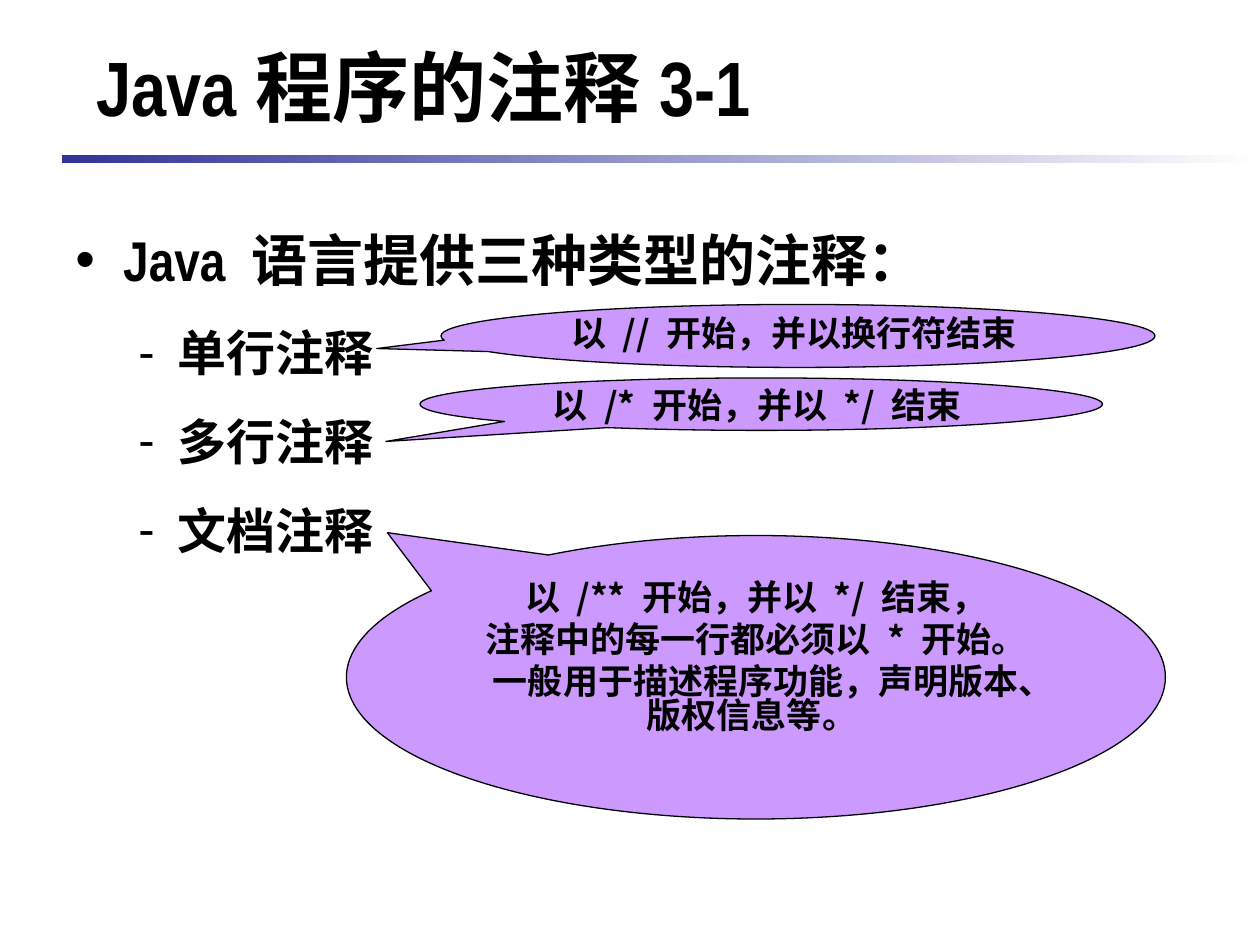
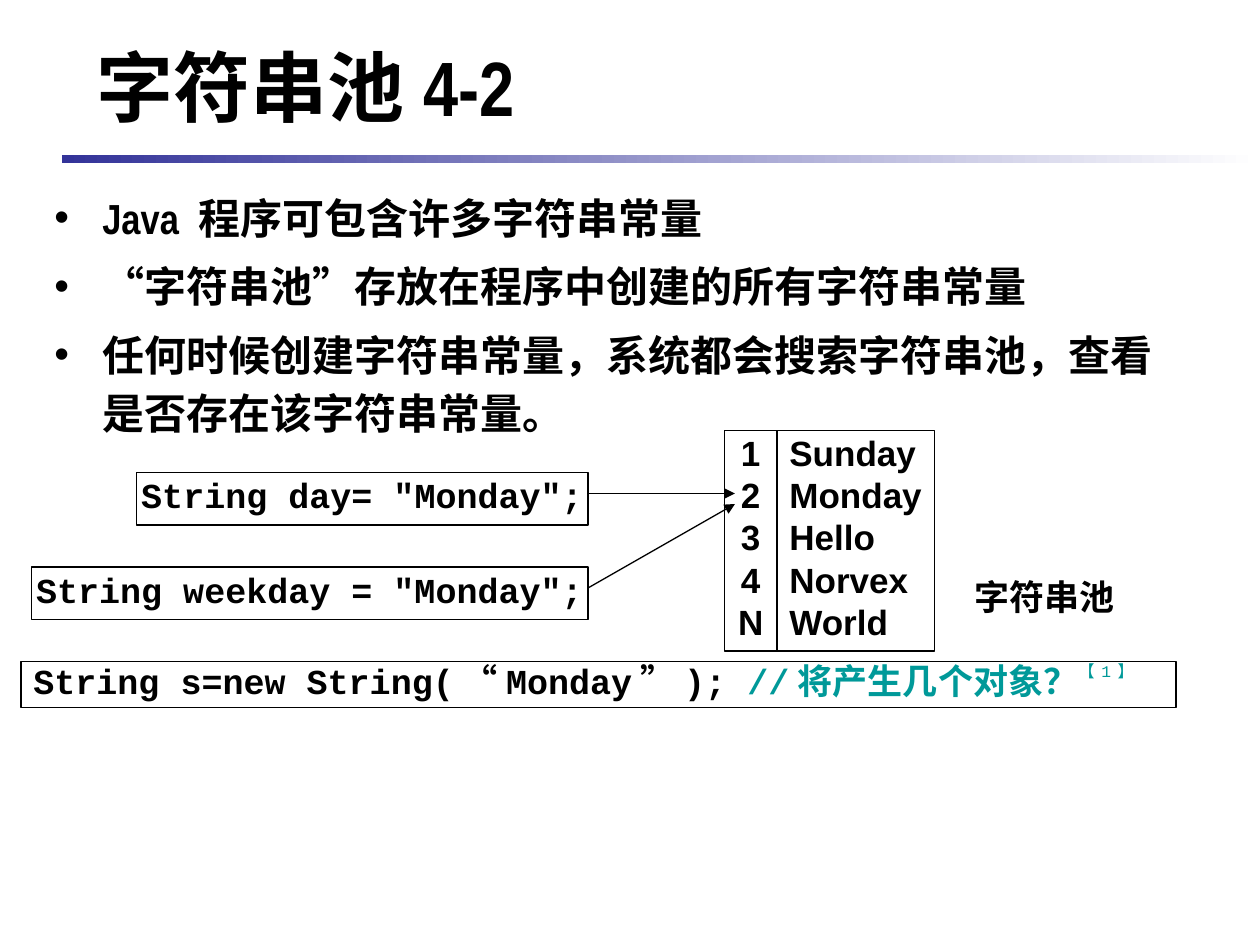
from dataclasses import dataclass

from lxml import etree
from pptx import Presentation
from pptx import util as u
from pptx.dml.color import RGBColor
from pptx.enum import shapes, text
from pptx.oxml import ns


@dataclass(frozen=True)
class Theme:
    ink = RGBColor.from_string("000000")
    bar = RGBColor.from_string("333399")
    paper = RGBColor.from_string("FFFFFF")
    bubble = RGBColor.from_string("CC99FF")
    remark = RGBColor.from_string("009999")
    narrow = "Arial Narrow"
    plain = "Arial"
    mono = "Courier New"
    chinese = "Noto Sans CJK SC"
    title_size = 44
    lead_size = 32
    item_size = 28
    point_size = 24
    label_size = 20
    note_size = 16


theme = Theme()
LEFT, CENTER = text.PP_ALIGN.LEFT, text.PP_ALIGN.CENTER
TOP, MIDDLE = text.MSO_ANCHOR.TOP, text.MSO_ANCHOR.MIDDLE
RECT = shapes.MSO_SHAPE.RECTANGLE

deck = Presentation()
deck.slide_width, deck.slide_height = u.Inches(10), u.Inches(7.5)
CELL = deck.slide_width / 120  # the slide is a grid of 120 columns by 90 rows


def add_box(page, at, kind=RECT, fill=None, outlined=True, anchor=MIDDLE, wrap=False):
    """Add a shape at (column, row, columns, rows)."""
    box = page.shapes.add_shape(kind, *(round(n * CELL) for n in at))
    box.shadow.inherit = False
    if fill is None:
        box.fill.background()
    else:
        box.fill.solid()
        box.fill.fore_color.rgb = fill
    if outlined:
        box.line.color.rgb = theme.ink
        box.line.width = u.Pt(0.75)
    else:
        box.line.fill.background()
    box.text_frame.vertical_anchor = anchor
    box.text_frame.word_wrap = wrap
    return box


def style(para, font, size, align=LEFT, spacing=0.8, before=5, hang=None, bullet=None):
    """Format a paragraph and its runs; hang is (left margin, hanging) in inches."""
    para.alignment = align
    para.line_spacing = spacing
    para.space_before = u.Pt(before)
    props = para._p.get_or_add_pPr()
    if hang:
        props.set("marL", str(u.Inches(hang[0])))
        props.set("indent", str(-u.Inches(hang[1])))
    if bullet:
        etree.SubElement(props, ns.qn("a:buFont"), typeface=theme.plain)
        etree.SubElement(props, ns.qn("a:buChar"), char=bullet)
    for span in para.runs:
        span.font.name = font
        span.font.size = u.Pt(size)
        span.font.bold = True
        span.font.color.rgb = theme.ink
        latin = span.font._element.find(ns.qn("a:latin"))
        east_asian = etree.Element(ns.qn("a:ea"), typeface=theme.chinese)
        latin.addnext(east_asian)


# Shared frame: gradient bar and title
pages = []
for title in ("Java程序的注释3-1", "字符串池4-2"):
    page = deck.slides.add_slide(deck.slide_layouts[5])
    bar = add_box(page, (5.9, 14.8, 114.1, 0.7), outlined=False)
    bar.fill.gradient()
    bar.fill.gradient_angle = 0
    for stop, colour in zip(bar.fill.gradient_stops, (theme.bar, theme.paper)):
        stop.color.rgb = colour
    heading = page.shapes.title
    heading.left, heading.top, heading.width, heading.height = (
        round(n * CELL) for n in (8, 2.5, 98, 11.3))
    heading.text_frame.text = title
    heading.text_frame.vertical_anchor = MIDDLE
    style(heading.text_frame.paragraphs[0], theme.narrow, theme.title_size,
          spacing=1, before=0)
    pages.append(page)
comments_page, pool_page = pages

# Slide 1: kinds of comment, each with a callout
body = add_box(comments_page, (6, 19, 108, 50), outlined=False, anchor=TOP, wrap=True)
body.text_frame.text = "Java 语言提供三种类型的注释：\n单行注释\n多行注释\n文档注释"
lead, *items = body.text_frame.paragraphs
style(lead, theme.narrow, theme.lead_size, spacing=1.3, before=8,
      hang=(0.38, 0.38), bullet="•")
for para in items:
    style(para, theme.narrow, theme.item_size, spacing=1.3, before=7,
          hang=(0.81, 0.31), bullet="-")

callouts = [
    ((42, 29, 68, 6), (-0.59, 0.2), "以 // 开始，并以换行符结束 "),
    ((40, 36, 65, 5), (-0.55, 0.71), "以 /* 开始，并以 */ 结束 "),
    ((33, 51, 78, 27), (-0.45, -0.51),
     "以 /** 开始，并以 */ 结束，\n注释中的每一行都必须以 * 开始。\n"
     "一般用于描述程序功能，声明版本、版权信息等。 "),
]
for at, tip, words in callouts:
    callout = add_box(comments_page, at, shapes.MSO_SHAPE.OVAL_CALLOUT,
                      theme.bubble, anchor=TOP, wrap=True)
    callout.adjustments[0], callout.adjustments[1] = tip
    callout.text_frame.text = words
    for para in callout.text_frame.paragraphs:
        style(para, theme.chinese, theme.label_size, CENTER)

# Slide 2: points about the string pool
body = add_box(pool_page, (4, 17, 110, 30.5), outlined=False, anchor=TOP, wrap=True)
body.text_frame.text = (
    "Java 程序可包含许多字符串常量\n"
    "“字符串池”存放在程序中创建的所有字符串常量\n"
    "任何时候创建字符串常量，系统都会搜索字符串池，查看是否存在该字符串常量。")
for para in body.text_frame.paragraphs:
    style(para, theme.narrow, theme.point_size, spacing=1.15, before=6,
          hang=(0.38, 0.38), bullet="•")

# Pool columns and the declarations that point into them
diagram = [
    ((74, 41, 15, 21), "Sunday\nMonday\nHello\nNorvex\nWorld", theme.plain, LEFT),
    ((69, 41, 5, 21), "1\n2\n3\n4\nN", theme.plain, CENTER),
    ((13, 45, 43, 5), 'String day= "Monday";', theme.mono, CENTER),
    ((3, 54, 53, 5), 'String weekday = "Monday";', theme.mono, CENTER),
]
for at, words, font, align in diagram:
    box = add_box(pool_page, at)
    box.text_frame.text = words
    for para in box.text_frame.paragraphs:
        style(para, font, theme.label_size, align)

for start_row, end_row in ((47, 47), (56, 48)):
    arrow = pool_page.shapes.add_connector(
        shapes.MSO_CONNECTOR.STRAIGHT,
        *(round(n * CELL) for n in (56, start_row, 70, end_row)))
    arrow.line.color.rgb = theme.ink
    arrow.line.width = u.Pt(0.75)
    etree.SubElement(arrow.line._get_or_add_ln(), ns.qn("a:tailEnd"), type="triangle")
    etree.SubElement(arrow._element.spPr, ns.qn("a:effectLst"))

pool_label = add_box(pool_page, (91, 55, 17, 4.4), outlined=False, anchor=TOP, wrap=True)
pool_label.text_frame.text = "字符串池"
style(pool_label.text_frame.paragraphs[0], theme.plain, theme.label_size, CENTER,
      before=12.5)

# Question line with mixed fonts
question = add_box(pool_page, (2, 63, 110, 4.4), anchor=TOP, wrap=True)
para = question.text_frame.paragraphs[0]
for words in ("String s=new String(", "“", "Monday", "”", "); ",
              "//将产生几个对象？", "【1】"):
    para.add_run().text = words
style(para, theme.mono, theme.label_size, before=10, hang=(0.38, 0.38))
for span in para.runs:
    if span.text in "“”":
        span.font.name = theme.plain
remark, note = para.runs[-2:]
remark.font.color.rgb = note.font.color.rgb = theme.remark
note.font.size = u.Pt(theme.note_size)
note.font.bold = False
note.font._element.set("baseline", "60000")

deck.save("out.pptx")
